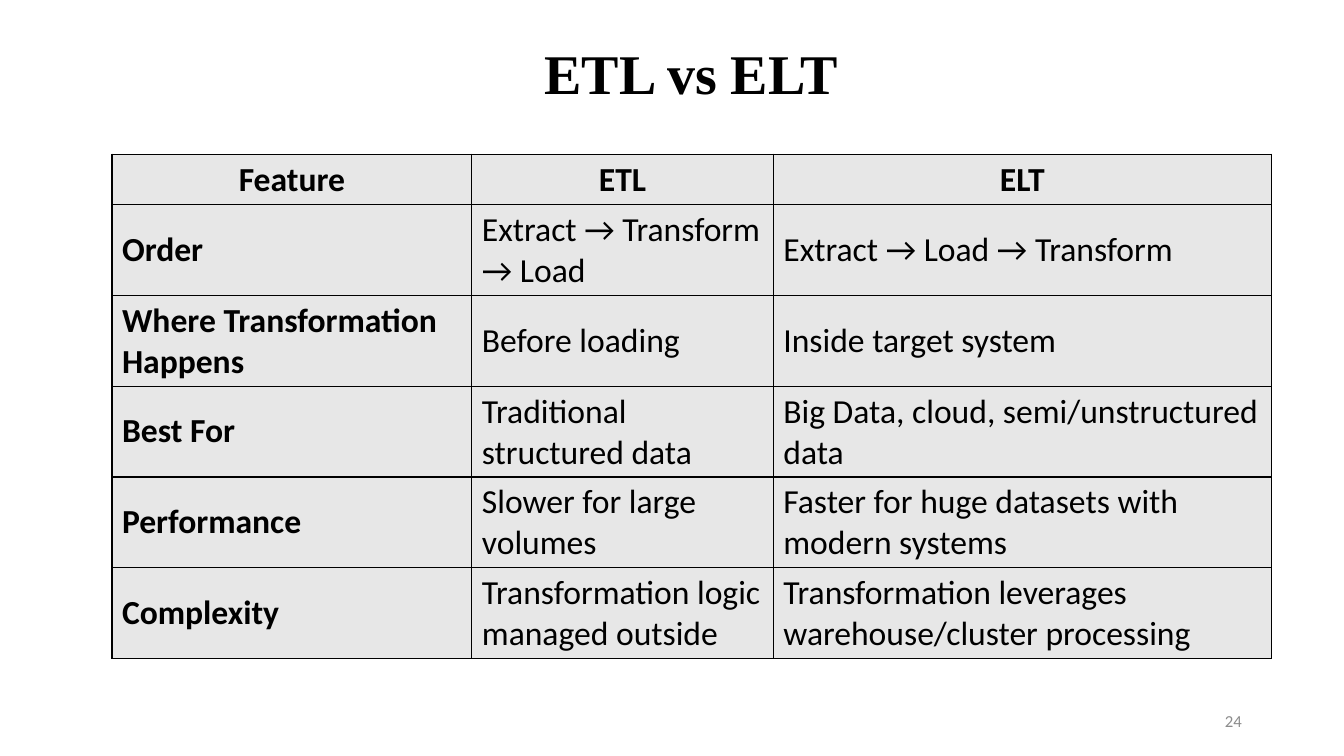
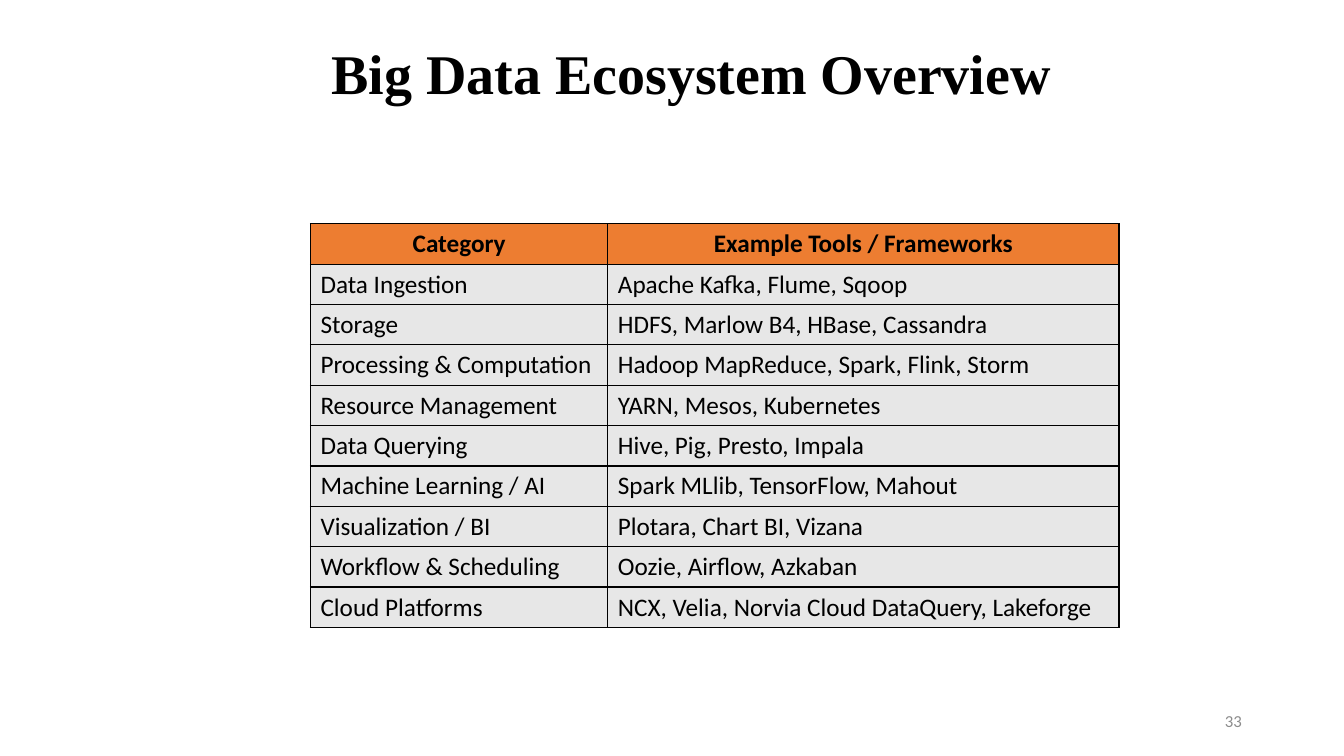
"""Build two slides comparing data pipelines and listing big data tools."""
from dataclasses import dataclass

from lxml.etree import SubElement
from pptx import Presentation
from pptx.dml.color import RGBColor
from pptx.enum.text import MSO_ANCHOR, PP_ALIGN
from pptx.oxml.ns import qn
from pptx.util import Inches, Pt


@dataclass(frozen=True)
class Theme:
    heading_font: str = "Times New Roman"
    body_font: str = "Calibri"
    ink: str = "000000"
    muted: str = "8C8C8C"
    cell: str = "E7E7E7"
    accent: str = "ED7D31"
    title_size: int = 40
    large_size: int = 24
    medium_size: int = 18
    number_size: int = 12
    border: float = 1


class Deck:
    def __init__(self, theme):
        self.theme = theme
        self.deck = Presentation()
        self.deck.slide_width = Inches(13.33)
        self.deck.slide_height = Inches(7.5)
        self.slide = None

    def across(self, percent):
        return round(self.deck.slide_width * percent / 100)

    def down(self, percent):
        return round(self.deck.slide_height * percent / 100)

    def style_text(self, frame, text, size, font, color, bold=False,
                   align=PP_ALIGN.LEFT):
        paragraph = frame.paragraphs[0]
        paragraph.alignment = align
        run = paragraph.add_run()
        run.text = text
        for name, value in {"size": Pt(size), "name": font, "bold": bold}.items():
            setattr(run.font, name, value)
        run.font.color.rgb = RGBColor.from_string(color)

    def text(self, left, top, width, height, text, anchor=MSO_ANCHOR.TOP, **style):
        box = self.slide.shapes.add_textbox(
            self.across(left), self.down(top), self.across(width), self.down(height))
        box.text_frame.word_wrap = True
        box.text_frame.vertical_anchor = anchor
        self.style_text(box.text_frame, text, **style)

    def page(self, title, number):
        look = self.theme
        self.slide = self.deck.slides.add_slide(self.deck.slide_layouts[6])
        self.text(14.03, 4.4, 74.79, 10.27, title, size=look.title_size,
                  font=look.heading_font, color=look.ink, bold=True,
                  align=PP_ALIGN.CENTER)
        self.text(70.65, 92.67, 22.5, 5.33, str(number), MSO_ANCHOR.MIDDLE,
                  size=look.number_size, font=look.body_font, color=look.muted,
                  align=PP_ALIGN.RIGHT)

    def outline(self, cell):
        properties = cell._tc.get_or_add_tcPr()
        for position, side in enumerate(("a:lnL", "a:lnR", "a:lnT", "a:lnB")):
            edge = SubElement(properties, qn(side), w=str(Pt(self.theme.border)))
            properties.insert(position, edge)
            paint = SubElement(edge, qn("a:solidFill"))
            SubElement(paint, qn("a:srgbClr"), val=self.theme.ink)

    def table(self, left, top, widths, header_height, row_height, rows, size,
              header_fill, bold_labels=False):
        heights = [header_height] + [row_height] * (len(rows) - 1)
        grid = self.slide.shapes.add_table(
            len(rows), len(widths), self.across(left), self.down(top),
            self.across(sum(widths)), self.down(sum(heights))).table
        grid.first_row = grid.horz_banding = False
        for column, width in zip(grid.columns, widths):
            column.width = self.across(width)
        for r, (texts, height) in enumerate(zip(rows, heights)):
            grid.rows[r].height = self.down(height)
            header = r == 0
            for c, text in enumerate(texts):
                cell = grid.cell(r, c)
                cell.vertical_anchor = MSO_ANCHOR.MIDDLE
                cell.fill.solid()
                cell.fill.fore_color.rgb = RGBColor.from_string(
                    header_fill if header else self.theme.cell)
                self.outline(cell)
                self.style_text(cell.text_frame, text, size, self.theme.body_font,
                                self.theme.ink, header or (bold_labels and c == 0),
                                PP_ALIGN.CENTER if header else PP_ALIGN.LEFT)


COMPARISON = [
    ("Feature", "ETL", "ELT"),
    ("Order", "Extract → Transform → Load", "Extract → Load → Transform"),
    ("Where Transformation Happens", "Before loading", "Inside target system"),
    ("Best For", "Traditional structured data",
     "Big Data, cloud, semi/unstructured data"),
    ("Performance", "Slower for large volumes",
     "Faster for huge datasets with modern systems"),
    ("Complexity", "Transformation logic managed outside",
     "Transformation leverages warehouse/cluster processing"),
]

ECOSYSTEM = [
    ("Category", "Example Tools / Frameworks"),
    ("Data Ingestion", "Apache Kafka, Flume, Sqoop"),
    ("Storage", "HDFS, Marlow B4, HBase, Cassandra"),
    ("Processing & Computation", "Hadoop MapReduce, Spark, Flink, Storm"),
    ("Resource Management", "YARN, Mesos, Kubernetes"),
    ("Data Querying", "Hive, Pig, Presto, Impala"),
    ("Machine Learning / AI", "Spark MLlib, TensorFlow, Mahout"),
    ("Visualization / BI", "Plotara, Chart BI, Vizana"),
    ("Workflow & Scheduling", "Oozie, Airflow, Azkaban"),
    ("Cloud Platforms", "NCX, Velia, Norvia Cloud DataQuery, Lakeforge"),
]


def main():
    theme = Theme()
    talk = Deck(theme)
    talk.page("ETL vs ELT", 24)
    talk.table(8.33, 20.4, (26.78, 22.43, 37.06), 6.67, 12, COMPARISON,
               theme.large_size, theme.cell, bold_labels=True)
    talk.page("Big Data Ecosystem Overview", 33)
    talk.table(23.1, 29.6, (22.13, 38.03), 5.33, 5.33, ECOSYSTEM,
               theme.medium_size, theme.accent)
    talk.deck.save("out.pptx")


if __name__ == "__main__":
    main()
